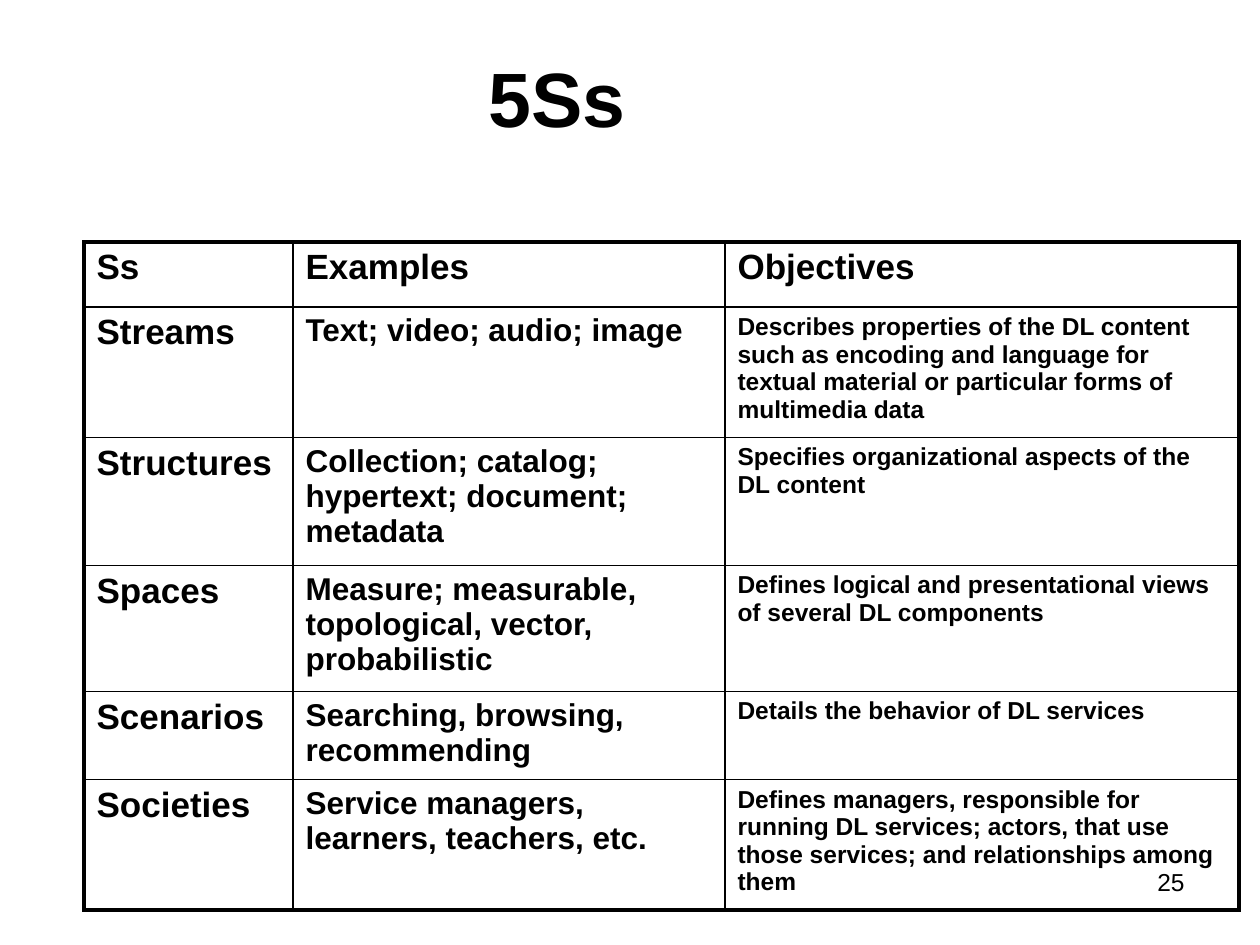
import lxml.etree
import pptx
import pptx.dml.color
import pptx.enum.text
import pptx.oxml.ns
import pptx.util

BLACK = pptx.dml.color.RGBColor(0, 0, 0)
FONT = "Arial"
PX = 914400 / 126  # EMU per px, 126 px to the inch
THICK, THIN = 2.25, 1


def px(length):
    return pptx.util.Emu(round(length * PX))


def add_text(paragraph, text, size, bold):
    run = paragraph.add_run()
    run.text = text
    run.font.name = FONT
    run.font.size = pptx.util.Pt(size)
    run.font.bold = bold
    run.font.color.rgb = BLACK


presentation = pptx.Presentation()
presentation.slide_width = px(1260)
presentation.slide_height = px(945)
slide = presentation.slides.add_slide(presentation.slide_layouts[5])

# Title
title = slide.shapes.title
title.left, title.top, title.width, title.height = px(374), px(38), px(366), px(117)
title.text_frame.vertical_anchor = pptx.enum.text.MSO_ANCHOR.MIDDLE
title.text_frame.paragraphs[0].alignment = pptx.enum.text.PP_ALIGN.CENTER
add_text(title.text_frame.paragraphs[0], "5Ss", 44, True)

# Slide number
page_number = slide.shapes.add_textbox(px(903), px(861), px(294), px(65)).text_frame
page_number.word_wrap = True
page_number.paragraphs[0].alignment = pptx.enum.text.PP_ALIGN.RIGHT
add_text(page_number.paragraphs[0], "25", 14, False)

# Table of the five Ss
ROWS = [
    ("Ss", "Examples", "Objectives"),
    ("Streams", "Text; video; audio; image",
     "Describes properties of the DL content such as encoding and language for "
     "textual material or particular forms of multimedia data"),
    ("Structures", "Collection; catalog; hypertext; document; metadata",
     "Specifies organizational aspects of the DL content"),
    ("Spaces", "Measure; measurable, topological, vector, probabilistic",
     "Defines logical and presentational views of several DL components"),
    ("Scenarios", "Searching, browsing, recommending",
     "Details the behavior of DL services"),
    ("Societies", "Service managers, learners, teachers, etc.",
     "Defines managers, responsible for running DL services; actors, that use "
     "those services; and relationships among them"),
]
COLUMN_WIDTHS = [209, 432, 514]
ROW_HEIGHTS = [65, 128, 128, 119, 87, 129]
HEADER_SIZE = 20
COLUMN_SIZES = [20, 18, 14]

five_ss = slide.shapes.add_table(
    len(ROWS), len(COLUMN_WIDTHS), px(84), px(242),
    px(sum(COLUMN_WIDTHS)), px(sum(ROW_HEIGHTS))).table
five_ss.first_row = False
five_ss.horz_banding = False
for column, width in zip(five_ss.columns, COLUMN_WIDTHS):
    column.width = px(width)
for row, height in zip(five_ss.rows, ROW_HEIGHTS):
    row.height = px(height)

last_row, last_column = len(ROWS) - 1, len(COLUMN_WIDTHS) - 1
for r, entries in enumerate(ROWS):
    for c, entry in enumerate(entries):
        cell = five_ss.cell(r, c)
        size = HEADER_SIZE if r == 0 else COLUMN_SIZES[c]
        add_text(cell.text_frame.paragraphs[0], entry, size, True)

        # Thick outer frame, thin inner rules
        properties = cell._tc.get_or_add_tcPr()
        outer_sides = {"L": c == 0, "R": c == last_column,
                       "T": r == 0, "B": r == last_row}
        for side, is_outer in outer_sides.items():
            border = lxml.etree.SubElement(
                properties, pptx.oxml.ns.qn("a:ln" + side),
                w=str(pptx.util.Pt(THICK if is_outer else THIN)))
            fill = lxml.etree.SubElement(border, pptx.oxml.ns.qn("a:solidFill"))
            lxml.etree.SubElement(fill, pptx.oxml.ns.qn("a:srgbClr"), val=str(BLACK))
        cell.fill.background()

presentation.save("out.pptx")
